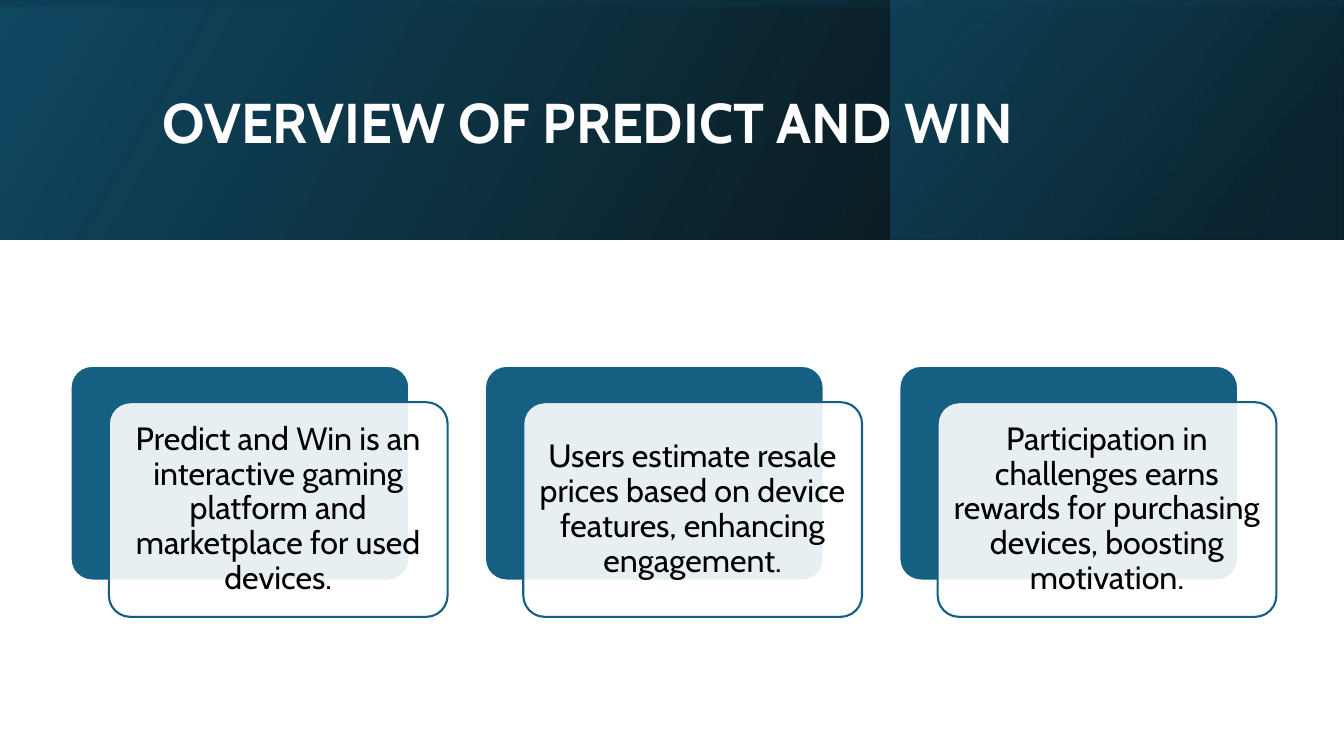
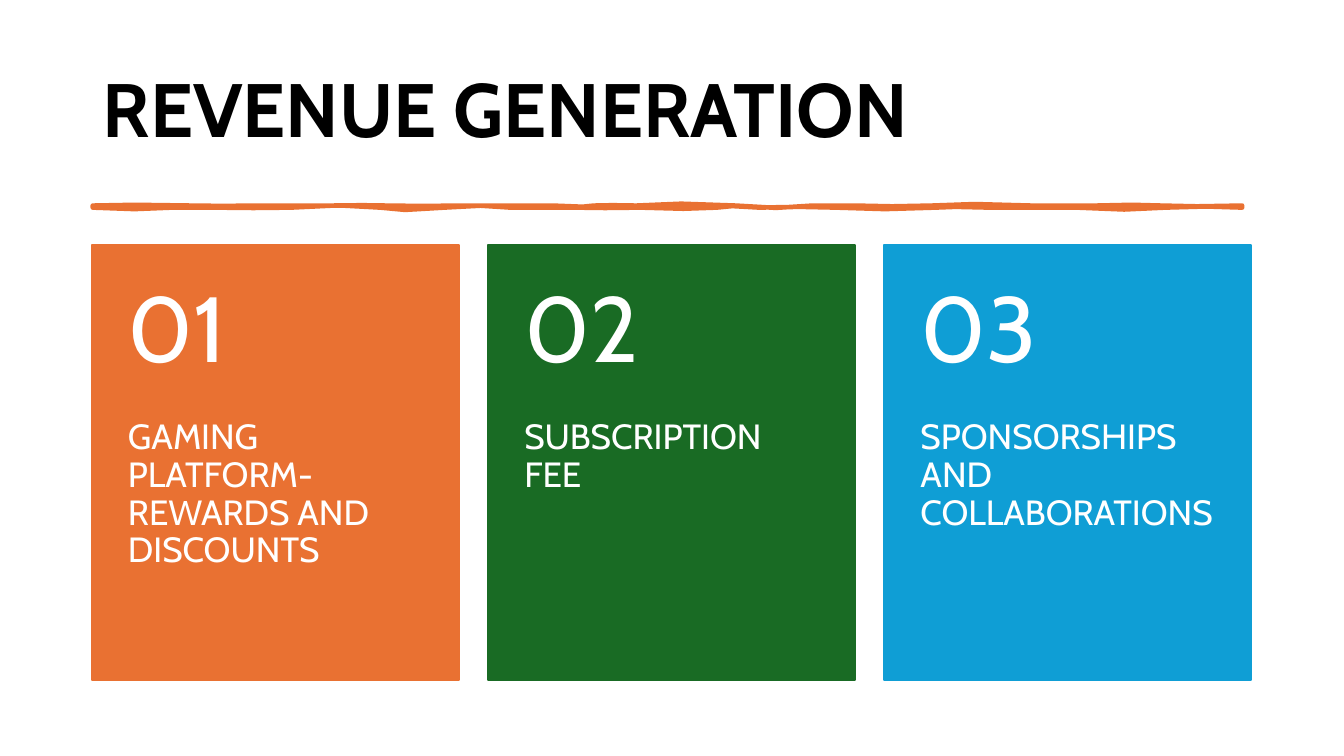
import pptx
import pptx.dml.color
import pptx.enum.shapes
import pptx.enum.text
import pptx.oxml.ns
import pptx.util
from dataclasses import dataclass
from lxml import etree

Inches = pptx.util.Inches
Pt = pptx.util.Pt
SHAPE = pptx.enum.shapes.MSO_SHAPE
ALIGN = pptx.enum.text.PP_ALIGN
ANCHOR = pptx.enum.text.MSO_ANCHOR
qn = pptx.oxml.ns.qn


@dataclass(frozen=True)
class Theme:
    font: str = "Cabin"
    white: str = "FFFFFF"
    black: str = "000000"
    teal: str = "156082"
    navy: str = "104862"
    deep: str = "0B3041"
    orange: str = "E97132"
    green: str = "196B24"
    blue: str = "0F9ED5"
    banner_title: int = 40
    plain_title: int = 54
    card: int = 23
    tile: int = 25
    number: int = 66


T = Theme()

# Banner layers: box, rotation, gradient angle, (position %, colour, opacity %) stops
BANNER = [
    ((0, 0, 13.33, 2.38), 0, 330, [(0, T.black, 96), (100, T.navy, 100)]),
    ((8.83, 0, 4.49, 2.38), 0, 320, [(19, T.deep, 68), (100, T.teal, 48)]),
    ((5.48, -5.48, 2.37, 13.33), 270, 350, [(23, T.navy, 16), (99, T.black, 45)]),
]
OVERVIEW = [
    "Predict and Win is an interactive gaming platform and marketplace for used devices.",
    "Users estimate resale prices based on device features, enhancing engagement.",
    "Participation in challenges earns rewards for purchasing devices, boosting motivation.",
]
REVENUE = [
    ("GAMING PLATFORM- REWARDS AND DISCOUNTS", T.orange),
    ("SUBSCRIPTION FEE", T.green),
    ("SPONSORSHIPS AND COLLABORATIONS", T.blue),
]

# Brush stroke edges: each curve is (control x, y, control x, y, end x)
RULE_LEFT, RULE_TOP, RULE_BOTTOM = 0.92, 2.04, 2.06
TOP_EDGE = [
    (1.19, 2.04, 1.44, 2.02, 1.9), (2.37, 2.06, 2.2, 2.03, 2.44),
    (2.67, 2.05, 3.03, 2.03, 3.31), (3.6, 2.05, 3.59, 2.02, 3.84),
    (4.1, 2.06, 4.23, 2.03, 4.6), (4.98, 2.05, 5.14, 2.03, 5.48),
    (5.81, 2.05, 5.81, 2.06, 5.89), (5.98, 2.02, 6.15, 2.05, 6.31),
    (6.47, 2.03, 7.01, 2, 7.3), (7.59, 2.08, 7.81, 2.06, 8.06),
    (8.31, 2.02, 8.27, 2.06, 8.48), (8.68, 2.02, 9.01, 2.08, 9.24),
    (9.47, 2, 9.82, 2.04, 10.23), (10.63, 2.04, 10.63, 2.04, 10.87),
    (11.12, 2.04, 11.36, 2.02, 11.52), (11.68, 2.06, 12.03, 2.04, 12.32),
]
BOTTOM_EDGE = [
    (12.05, 2.06, 11.89, 2.03, 11.56), (11.22, 2.09, 11.1, 2.08, 10.68),
    (10.27, 2.04, 10.23, 2.08, 9.81), (9.39, 2.04, 9.52, 2.06, 9.28),
    (9.04, 2.06, 8.51, 2.1, 8.29), (8.06, 2.02, 7.82, 2.08, 7.53),
    (7.24, 2.04, 7.25, 2.04, 7.11), (6.98, 2.08, 6.61, 2.07, 6.35),
    (6.09, 2.05, 5.9, 2.08, 5.7), (5.51, 2.04, 5.28, 2.08, 5.06),
    (4.83, 2.04, 4.73, 2.03, 4.41), (4.09, 2.09, 3.9, 2.09, 3.77),
    (3.63, 2.03, 3.1, 2.03, 2.89), (2.68, 2.09, 2.35, 2.04, 2.13),
    (1.92, 2.08, 1.89, 2.04, 1.71), (1.54, 2.08, 1.14, 2.08, 0.92),
]


def rgb(color):
    return pptx.dml.color.RGBColor.from_string(color)


def set_alpha(color_el, percent):
    etree.SubElement(color_el, qn("a:alpha")).set("val", str(percent * 1000))


def write(sp, text, size, color, bold=False, align=ALIGN.LEFT,
          anchor=ANCHOR.MIDDLE, insets=(0.1, 0.05, 0.1, 0.05)):
    tf = sp.text_frame
    frame = {"word_wrap": True, "vertical_anchor": anchor,
             "auto_size": pptx.enum.text.MSO_AUTO_SIZE.NONE}
    for side, gap in zip(("left", "top", "right", "bottom"), insets):
        frame[f"margin_{side}"] = Inches(gap)
    for name, value in frame.items():
        setattr(tf, name, value)
    p = tf.paragraphs[0]
    p.alignment, p.line_spacing = align, 0.9
    r = p.add_run()
    r.text = text
    for name, value in {"name": T.font, "size": Pt(size), "bold": bold}.items():
        setattr(r.font, name, value)
    r.font.color.rgb = rgb(color)


def paint(sp, fill, line, width):
    sp.shadow.inherit = False
    sp.fill.solid()
    sp.fill.fore_color.rgb = rgb(fill)
    sp.line.color.rgb = rgb(line)
    sp.line.width = Pt(width)


def add_text(parent, box, text, size, color, **style):
    sp = parent.shapes.add_textbox(*map(Inches, box))
    write(sp, text, size, color, **style)


def add_panel(parent, kind, box, fill, line, opacity=100):
    sp = parent.shapes.add_shape(kind, *map(Inches, box))
    paint(sp, fill, line, 1.5)
    if kind == SHAPE.ROUNDED_RECTANGLE:
        sp.adjustments[0] = 0.1
    if opacity < 100:
        set_alpha(sp._element.spPr.find(qn("a:solidFill"))[0], opacity)


def add_gradient(s, box, rotation, angle, stops):
    """Add a mirrored rectangle with a translucent gradient."""
    sp = s.shapes.add_shape(SHAPE.RECTANGLE, *map(Inches, box))
    sp.shadow.inherit = False
    sp.line.fill.background()
    sp.rotation = rotation
    sp._element.spPr.xfrm.set("flipH", "1")
    sp.fill.gradient()
    sp.fill.gradient_angle = 360 - angle
    for stop, (position, color, _) in zip(sp.fill.gradient_stops, stops):
        stop.position = position / 100
        stop.color.rgb = rgb(color)
    for el, (_, _, opacity) in zip(sp._element.spPr.iter(qn("a:srgbClr")), stops):
        set_alpha(el, opacity)


def add_title(s, box, text, size, color):
    sp = s.shapes.title
    sp.left, sp.top, sp.width, sp.height = map(Inches, box)
    write(sp, text, size, color, bold=True)


def trace(x, y, curves):
    """Return the middle and end of each Bezier curve; all end at height y."""
    points = [(x, y)]
    for x1, y1, x2, y2, end in curves:
        points += [((x + 3 * x1 + 3 * x2 + end) / 8, (2 * y + 3 * y1 + 3 * y2) / 8),
                   (end, y)]
        x = end
    return points


def add_brush_rule(s):
    points = trace(RULE_LEFT, RULE_TOP, TOP_EDGE)
    points += trace(TOP_EDGE[-1][-1], RULE_BOTTOM, BOTTOM_EDGE)
    start, *rest = [(Inches(x), Inches(y)) for x, y in points]
    builder = s.shapes.build_freeform(*start)
    builder.add_line_segments(rest, close=True)
    paint(builder.convert_to_shape(), T.orange, T.orange, 3.25)


def add_card(group, left, text):
    top, width, height = 3.63, 3.36, 2.13
    add_panel(group, SHAPE.ROUNDED_RECTANGLE, (left, top, width, height),
              T.teal, T.white)
    left, top = left + 0.38, top + 0.36
    add_panel(group, SHAPE.ROUNDED_RECTANGLE, (left, top, width, height),
              T.white, T.teal, opacity=90)
    add_text(group, (left + 0.06, top + 0.06, width - 0.12, height - 0.12), text,
             T.card, T.black, align=ALIGN.CENTER, insets=(0.1,) * 4)


def add_tile(group, left, number, text, color):
    top, width, height, head = 2.43, 3.64, 4.32, 1.73
    add_panel(group, SHAPE.RECTANGLE, (left, top, width, height), color, color)
    add_text(group, (left, top + head, width, height - head), text, T.tile, T.white,
             anchor=ANCHOR.TOP, insets=(0.36, 0, 0.36, 0.36))
    add_text(group, (left, top, width, head), f"{number:02}", T.number, T.white,
             insets=(0.36, 0.18, 0.36, 0.18))


def overview_slide(s):
    for layer in BANNER:
        add_gradient(s, *layer)
    title = s.shapes.title._element
    title.getparent().append(title)
    add_title(s, (1.51, 0.38, 10.63, 1.72), "OVERVIEW OF PREDICT AND WIN",
              T.banner_title, T.white)
    group = s.shapes.add_group_shape()
    for i, text in enumerate(OVERVIEW):
        add_card(group, 0.7 + 4.11 * i, text)


def revenue_slide(s):
    add_title(s, (0.92, 0.4, 11.5, 1.45), "REVENUE GENERATION",
              T.plain_title, T.black)
    add_brush_rule(s)
    group = s.shapes.add_group_shape()
    for i, (text, color) in enumerate(REVENUE):
        add_tile(group, 0.91 + 3.93 * i, i + 1, text, color)


def main():
    prs = pptx.Presentation()
    prs.slide_width, prs.slide_height = Inches(13.33), Inches(7.5)
    title_only = prs.slide_layouts[5]
    for build in (overview_slide, revenue_slide):
        build(prs.slides.add_slide(title_only))
    prs.save("out.pptx")


if __name__ == "__main__":
    main()
